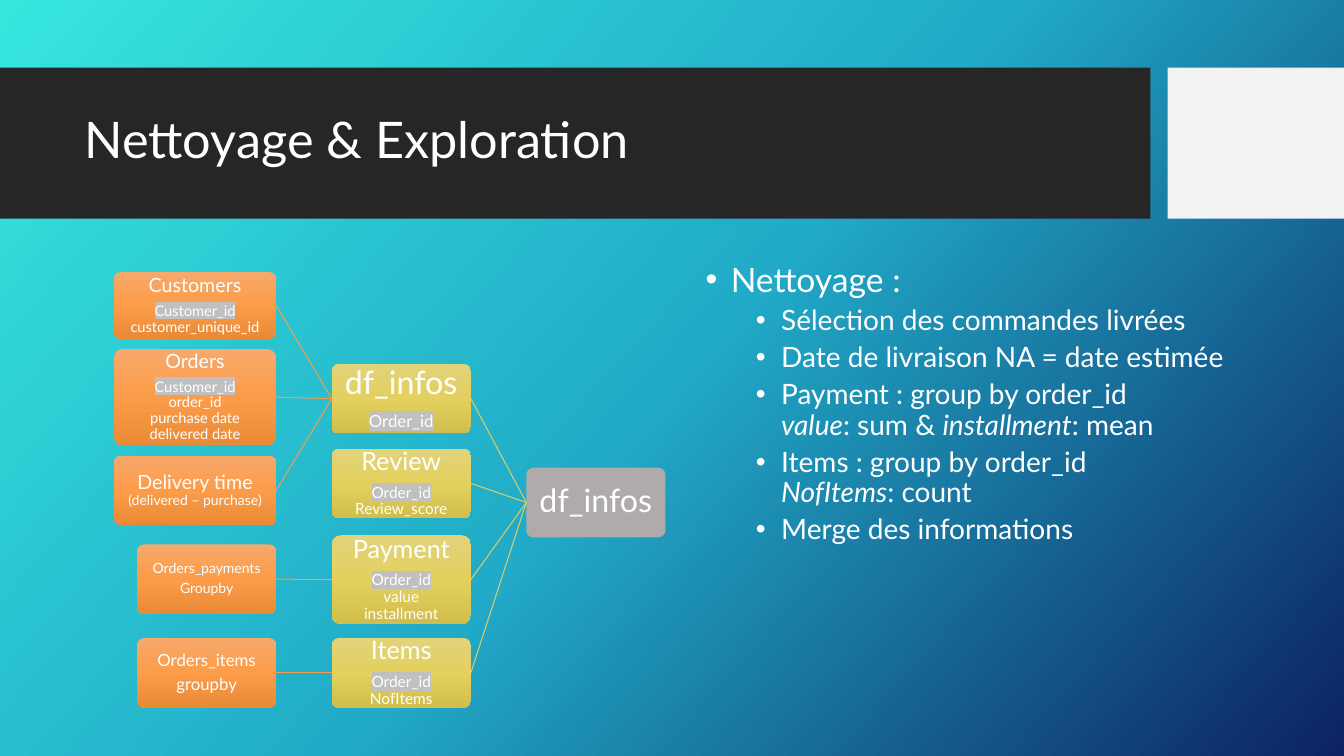
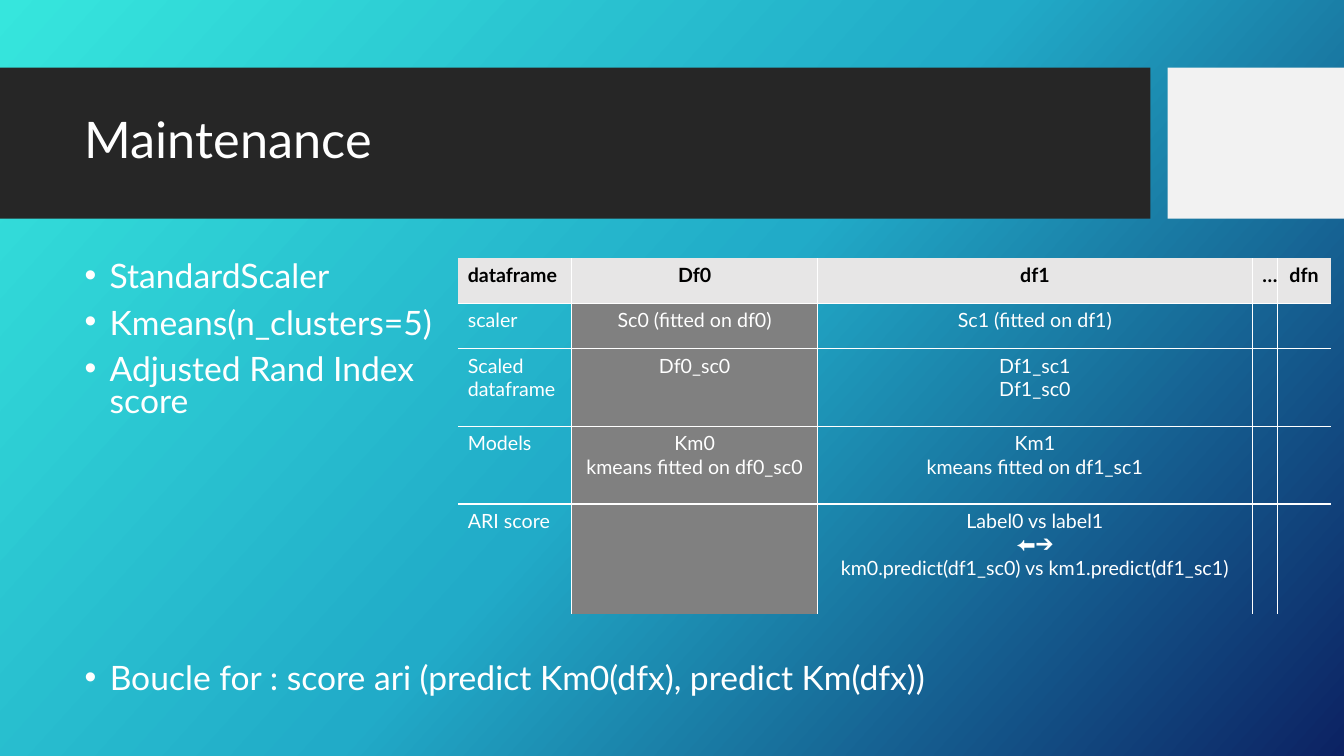
from copy import deepcopy

from lxml.etree import SubElement
from pptx import Presentation
from pptx.dml.color import RGBColor
from pptx.enum.shapes import MSO_CONNECTOR, MSO_SHAPE
from pptx.enum.text import MSO_ANCHOR, PP_ALIGN
from pptx.oxml.ns import qn
from pptx.util import Inches, Pt

RECT, ROUND = MSO_SHAPE.RECTANGLE, MSO_SHAPE.ROUNDED_RECTANGLE
STRAIGHT = MSO_CONNECTOR.STRAIGHT
LEFT, CENTER = PP_ALIGN.LEFT, PP_ALIGN.CENTER
TOP, MIDDLE = MSO_ANCHOR.TOP, MSO_ANCHOR.MIDDLE
LEFT_SIDE, RIGHT_SIDE = 1, 3

FONT = "Lato"
WHITE = RGBColor(0xFF, 0xFF, 0xFF)
BLACK = RGBColor(0x00, 0x00, 0x00)
BAND = RGBColor(0x26, 0x26, 0x26)
TAB = RGBColor(0xF2, 0xF2, 0xF2)
HEAD = RGBColor(0xE7, 0xE6, 0xE6)
GRAY = RGBColor(0x80, 0x80, 0x80)
MARK = RGBColor(0xC0, 0xC0, 0xC0)
FINAL = RGBColor(0xAF, 0xAB, 0xAB)
ORANGE_LINE = RGBColor(0xF4, 0x9D, 0x50)
YELLOW_LINE = RGBColor(0xDD, 0xCC, 0x64)
SKY = (RGBColor(0x36, 0xE6, 0xDD), RGBColor(0x21, 0xAB, 0xC8),
       RGBColor(0x0C, 0x22, 0x63))
ORANGE = (RGBColor(0xF7, 0xA9, 0x6C), RGBColor(0xFC, 0x9C, 0x48),
          RGBColor(0xE9, 0x8B, 0x36))
YELLOW = (RGBColor(0xE2, 0xD3, 0x7A), RGBColor(0xE3, 0xD0, 0x5E),
          RGBColor(0xD1, 0xBE, 0x4D))

PLAIN_TABLE = "{2D5ABB26-0587-4C30-8999-92F81FD0307C}"
MARKED = {"mark": MARK}
ITALIC = {"italic": True}


# Text
def style(run, size, color=WHITE, bold=False, italic=False, mark=None):
    font = run.font
    font.name, font.size = FONT, Pt(size)
    font.bold, font.italic = bold, italic
    font.color.rgb = color
    if mark:
        props = run.font._element
        light = SubElement(props, qn("a:highlight"))
        SubElement(light, qn("a:srgbClr"), val=str(mark))
        props.find(qn("a:solidFill")).addnext(light)


def write(frame, text, accent=None, align=LEFT, line=1.0, before=0,
          after=0, bullet=None, **look):
    """Add a paragraph; parts between asterisks take the accent format.

    after is a percentage of the line, bullet the left margin in inches.
    """
    para = frame.paragraphs[0]
    if para.runs:
        para = frame.add_paragraph()
    para.alignment, para.line_spacing = align, line
    para.space_before, para.space_after = Pt(before), Pt(0)
    props = para._p.get_or_add_pPr()
    if after:
        gap = props.find(qn("a:spcAft"))
        gap.clear()
        SubElement(gap, qn("a:spcPct"), val=str(after * 1000))
    if bullet:
        props.set("marL", str(Inches(bullet)))
        props.set("indent", str(Inches(-0.25)))
        SubElement(props, qn("a:buFont"), typeface="Arial")
        SubElement(props, qn("a:buChar"), char="•")
    for i, part in enumerate(text.split("*")):
        form = {**look, **(accent or {})} if i % 2 else look
        for j, piece in enumerate(part.split("\n")):
            if j:
                para.add_line_break()
                split = para._p[-1]
            run = para.add_run()
            run.text = piece
            style(run, **form)
            if j:
                split.append(deepcopy(run.font._element))


def text_box(slide, left, top, width, height, anchor=TOP):
    box = slide.shapes.add_textbox(Inches(left), Inches(top),
                                   Inches(width), Inches(height))
    frame = box.text_frame
    frame.word_wrap, frame.vertical_anchor = True, anchor
    return frame


# Fills, shapes and lines
def blend(fill, element, colors, angle):
    """Fill with three even stops; the angle runs clockwise."""
    fill.gradient()
    fill.gradient_angle = 360 - angle
    stops = element.find(".//" + qn("a:gsLst"))
    stops.append(deepcopy(stops[-1]))
    for i, (stop, color) in enumerate(zip(fill.gradient_stops, colors)):
        stop.color.rgb, stop.position = color, i / 2


def block(slide, kind, left, top, width, height, fill):
    shape = slide.shapes.add_shape(kind, Inches(left), Inches(top),
                                   Inches(width), Inches(height))
    shape.shadow.inherit = False
    shape.line.fill.background()
    if isinstance(fill, RGBColor):
        shape.fill.solid()
        shape.fill.fore_color.rgb = fill
    else:
        blend(shape.fill, shape.element, fill, 90)
    return shape


def node(slide, left, top, width, height, fill, *lines):
    """Rounded box; each line is a text and its size."""
    shape = block(slide, ROUND, left, top, width, height, fill)
    shape.adjustments[0] = 0.1
    frame = shape.text_frame
    frame.word_wrap, frame.vertical_anchor = True, MIDDLE
    frame.margin_left = frame.margin_right = Inches(0.01)
    frame.margin_top = frame.margin_bottom = Inches(0.01)
    for text, size in lines:
        write(frame, text, size=size, accent=MARKED, align=CENTER,
              line=0.9, after=35)
    return shape


def join(slide, start, end, color):
    link = slide.shapes.add_connector(STRAIGHT, 0, 0, 0, 0)
    link.begin_connect(start, RIGHT_SIDE)
    link.end_connect(end, LEFT_SIDE)
    link.line.color.rgb, link.line.width = color, Pt(0.75)
    SubElement(link.element.find(qn("p:spPr")), qn("a:effectLst"))


# Table
def edge(cell, sides):
    props = cell._tc.get_or_add_tcPr()
    for side in sides:
        line = SubElement(props, qn("a:ln" + side), w=str(Pt(1)))
        paint = SubElement(line, qn("a:solidFill"))
        SubElement(paint, qn("a:srgbClr"), val=str(WHITE))


def grid(slide, left, top, widths, heights, rows):
    frame = slide.shapes.add_table(
        len(rows), len(widths), Inches(left), Inches(top),
        Inches(sum(widths)), Inches(sum(heights)))
    table = frame.table
    frame.element.find(".//" + qn("a:tableStyleId")).text = PLAIN_TABLE
    table.first_row = table.horz_banding = False
    for col, width in zip(table.columns, widths):
        col.width = Inches(width)
    for row, height in zip(table.rows, heights):
        row.height = Inches(height)
    for r, row in enumerate(rows):
        for c, text in enumerate(row):
            cell = table.cell(r, c)
            inner = {"L": c > 0, "R": c < len(widths) - 1,
                     "T": r > 0, "B": r < len(rows) - 1}
            edge(cell, [side for side, show in inner.items() if show])
            if r == 0 or c == 1:
                cell.fill.solid()
                cell.fill.fore_color.rgb = GRAY if r else HEAD
            else:
                cell.fill.background()
            if text:
                for line in text.split("\n"):
                    write(cell.text_frame, line, size=14, bold=r == 0,
                          color=WHITE if r else BLACK,
                          align=CENTER if c else LEFT)


# Shared look
def start(deck, title):
    slide = deck.slides.add_slide(deck.slide_layouts[6])
    blend(slide.background.fill, slide.element, SKY, 42)
    block(slide, RECT, 0, 0.67, 11.41, 1.5, BAND)
    block(slide, RECT, 11.58, 0.67, 1.75, 1.5, TAB)
    frame = text_box(slide, 0.74, 0.82, 10.51, 1.18, MIDDLE)
    write(frame, title, size=36, line=0.9)
    return slide


# Slides
def cleaning(deck):
    slide = start(deck, "Nettoyage & Exploration")

    # Bulleted steps
    frame = text_box(slide, 6.9, 2.56, 6.43, 3.94)
    write(frame, "Nettoyage :", size=24, line=0.9, before=10, bullet=0.25)
    for step in ("Sélection des commandes livrées",
                 "Date de livraison NA = date estimée",
                 "Payment : group by order_id\n*value*: sum & "
                 "*installment*: mean",
                 "Items : group by order_id\n*NofItems*: count",
                 "Merge des informations"):
        write(frame, step, size=20, accent=ITALIC, line=0.9, before=5,
              bullet=0.75)

    # Merge tree, from the result back to the sources
    final = node(slide, 5.22, 4.64, 1.38, 0.69, FINAL, ("df_infos", 23))

    def merged(top, height, *lines):
        box = node(slide, 3.29, top, 1.38, height, YELLOW, *lines)
        join(slide, box, final, YELLOW_LINE)
        return box

    def source(target, top, width, height, *lines):
        box = node(slide, 2.74 - width, top, width, height, ORANGE, *lines)
        join(slide, box, target, ORANGE_LINE)
        return box

    infos = merged(3.61, 0.69, ("df_infos", 23), ("*Order_id*", 12))
    merged(4.45, 0.69, ("Review", 18), ("*Order_id*\nReview_score", 11))
    pay = merged(5.31, 0.88, ("Payment", 18),
                 ("*Order_id*\nvalue\ninstallment", 11))
    items = merged(6.33, 0.69, ("Items", 18), ("*Order_id*\nNofItems", 11))

    source(infos, 2.7, 1.61, 0.66, ("Customers", 14),
           ("*Customer_id*\ncustomer_unique_id", 10.5))
    source(infos, 3.46, 1.61, 0.96, ("Orders", 14),
           ("*Customer_id*\norder_id\npurchase date\ndelivered date", 10.5))
    late = source(infos, 4.52, 1.61, 0.69)
    write(late.text_frame, "Delivery time\n*(delivered – purchase)*",
          size=14, accent={"size": 10}, align=CENTER, line=0.9, after=35)
    source(pay, 5.4, 1.38, 0.69, ("Orders_payments", 10), ("Groupby", 10))
    source(items, 6.33, 1.38, 0.69, ("Orders_items", 12), ("groupby", 12))


def upkeep(deck):
    slide = start(deck, "Maintenance")

    # Bullets above and below the table
    above = text_box(slide, 0.74, 2.56, 3.8, 1.8)
    below = text_box(slide, 0.74, 6.55, 10.51, 0.6)
    for frame, text in (
            (above, "StandardScaler"),
            (above, "Kmeans(n_clusters=5)"),
            (above, "Adjusted Rand Index\nscore"),
            (below, "Boucle for : score ari (predict Km0(dfx), "
                    "predict Km(dfx))")):
        write(frame, text, size=24, line=0.8, before=10, bullet=0.25)

    # Comparison table
    grid(slide, 4.54, 2.56, (1.13, 2.44, 4.31, 0.25, 0.53),
         (0.45, 0.45, 0.77, 0.77, 1.09), (
             ("dataframe", "Df0", "df1", "…", "dfn"),
             ("scaler", "Sc0 (fitted on df0)", "Sc1 (fitted on df1)", "", ""),
             ("Scaled dataframe", "Df0_sc0", "Df1_sc1\nDf1_sc0", "", ""),
             ("Models", "Km0\nkmeans fitted on df0_sc0",
              "Km1\nkmeans fitted on df1_sc1", "", ""),
             ("ARI score", "",
              "Label0 vs label1\n⬅➔\n"
              "km0.predict(df1_sc0) vs km1.predict(df1_sc1)", "", "")))


def main():
    deck = Presentation()
    deck.slide_width, deck.slide_height = Inches(13.33), Inches(7.5)
    cleaning(deck)
    upkeep(deck)
    deck.save("out.pptx")


if __name__ == "__main__":
    main()
